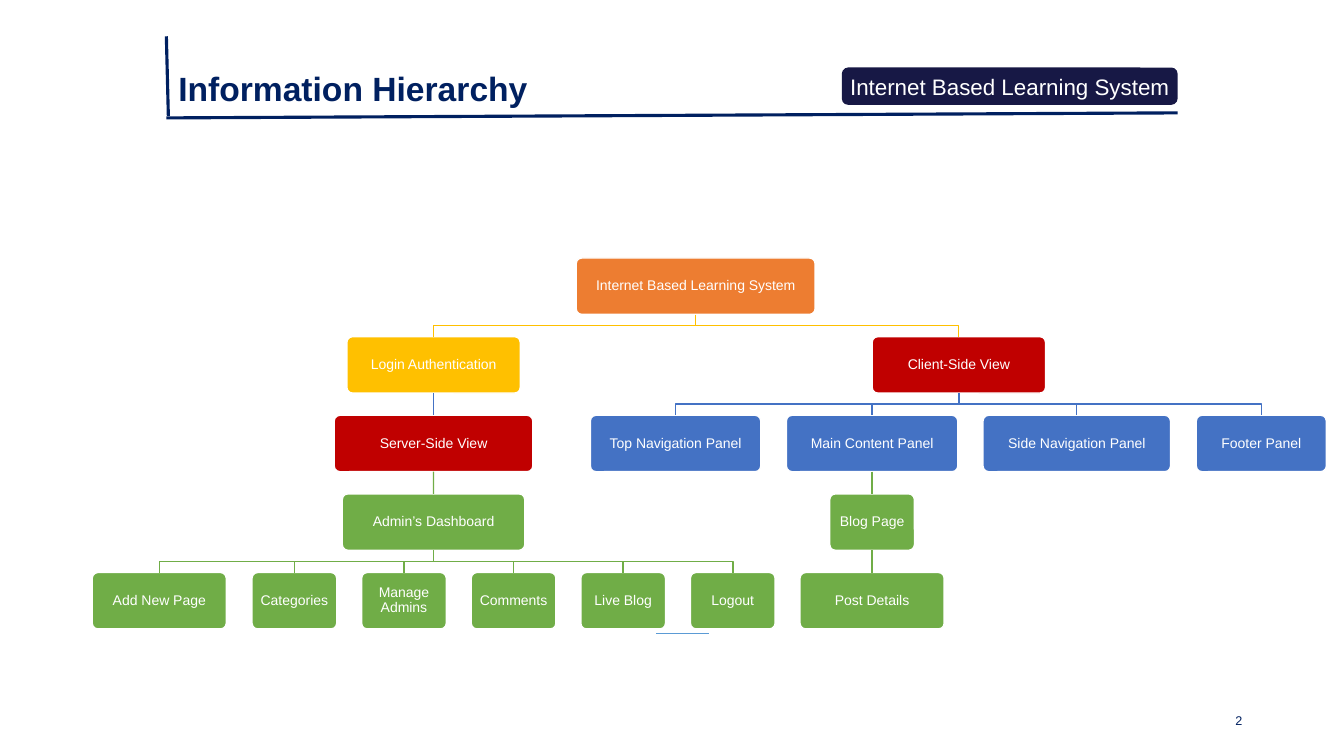
from lxml import etree
from pptx import Presentation
from pptx.dml.color import RGBColor
from pptx.enum.shapes import MSO_CONNECTOR as Conn, MSO_SHAPE as Shape
from pptx.enum.text import MSO_ANCHOR as Anchor, PP_ALIGN as Align
from pptx.oxml.ns import qn
from pptx.util import Inches, Pt

NAVY = RGBColor(0x00, 0x20, 0x60)
DARK = RGBColor(0x17, 0x18, 0x45)
WHITE = RGBColor(0xFF, 0xFF, 0xFF)
ORANGE = RGBColor(0xED, 0x7D, 0x31)
GOLD = RGBColor(0xFF, 0xC0, 0x00)
RED = RGBColor(0xC0, 0x00, 0x00)
BLUE = RGBColor(0x44, 0x72, 0xC4)
GREEN = RGBColor(0x70, 0xAD, 0x47)
SKY = RGBColor(0x5B, 0x9B, 0xD5)

deck = Presentation()
deck.slide_width, deck.slide_height = Inches(13.33), Inches(7.5)
slide = deck.slides.add_slide(deck.slide_layouts[6])
shapes = slide.shapes


def write(shape, text, font, para, frame):
    body = shape.text_frame
    body.text = text
    line = body.paragraphs[0]
    parts = [(body, {"word_wrap": True, **frame}), (line, para),
             (line.runs[0].font, {"name": "Arial", **font})]
    for part, values in parts:
        for key, value in values.items():
            setattr(part, key, value)
    line.runs[0].font.color.rgb = font_color[shape.shape_id]


def rule(x1, y1, x2, y2, color, weight):
    line = shapes.add_connector(Conn.STRAIGHT, Inches(x1), Inches(y1), Inches(x2), Inches(y2))
    line.line.color.rgb = color
    line.line.width = Pt(weight)
    etree.SubElement(line._element.spPr, qn("a:effectLst"))
    return line


font_color = {}

# Header lines and banner
rule(1.65, 0.36, 1.67, 1.15, NAVY, 2.25)
rule(1.65, 1.17, 11.68, 1.12, NAVY, 2.25)
banner = shapes.add_shape(Shape.ROUNDED_RECTANGLE, Inches(8.35), Inches(0.67),
                          Inches(3.33), Inches(0.37))
banner.shadow.inherit = False
banner.fill.solid()
banner.fill.fore_color.rgb = DARK
banner.line.fill.background()
font_color[banner.shape_id] = WHITE
write(banner, "Internet Based Learning System", {"size": Pt(16)},
      {"alignment": Align.CENTER},
      {"vertical_anchor": Anchor.MIDDLE, "margin_left": 0, "margin_right": 0})

# Page number and title
page = shapes.add_textbox(Inches(9.42), Inches(6.95), Inches(3), Inches(0.4))
title = shapes.add_textbox(Inches(1.67), Inches(0.67), Inches(6.72), Inches(0.5))
for box in (page, title):
    font_color[box.shape_id] = NAVY
write(page, "2", {"size": Pt(9)}, {"alignment": Align.RIGHT},
      {"vertical_anchor": Anchor.MIDDLE})
write(title, "Information Hierarchy", {"size": Pt(24), "bold": True},
      {"line_spacing": 0.9, "space_before": Pt(10)}, {"vertical_anchor": Anchor.TOP})

# Tree: name, parent, level, centre, width, fill, link colour
ROOT, LOGIN, CLIENT = "Internet Based Learning System", "Login Authentication", "Client-Side View"
SERVER, ADMIN = "Server-Side View", "Admin’s Dashboard"
MAIN, BLOG = "Main Content Panel", "Blog Page"
NODES = [
    (ROOT, None, 0, 6.9, 2.37, ORANGE, None),
    (LOGIN, ROOT, 1, 4.3, 1.72, GOLD, GOLD),
    (CLIENT, ROOT, 1, 9.51, 1.72, RED, GOLD),
    (SERVER, LOGIN, 2, 4.3, 1.97, RED, BLUE),
    ("Top Navigation Panel", CLIENT, 2, 6.7, 1.69, BLUE, BLUE),
    (MAIN, CLIENT, 2, 8.65, 1.7, BLUE, BLUE),
    ("Side Navigation Panel", CLIENT, 2, 10.68, 1.86, BLUE, BLUE),
    ("Footer Panel", CLIENT, 2, 12.51, 1.29, BLUE, BLUE),
    (ADMIN, SERVER, 3, 4.3, 1.81, GREEN, GREEN),
    (BLOG, MAIN, 3, 8.65, 0.84, GREEN, GREEN),
    ("Add New Page", ADMIN, 4, 1.58, 1.33, GREEN, GREEN),
    ("Post Details", BLOG, 4, 8.65, 1.43, GREEN, GREEN),
]
LEAVES = ["Categories", "Manage Admins", "Comments", "Live Blog", "Logout"]
for i, name in enumerate(LEAVES):
    NODES.append((name, ADMIN, 4, 2.92 + 1.087 * i, 0.84, GREEN, GREEN))

TOP, PITCH, HIGH = 2.56, 0.78, 0.56
INSETS = {f"margin_{side}": Inches(0.06) for side in ("left", "right", "top", "bottom")}
placed = {}
for name, parent, level, mid, wide, fill, color in NODES:
    top = TOP + PITCH * level
    box = shapes.add_shape(Shape.ROUNDED_RECTANGLE, Inches(mid - wide / 2), Inches(top),
                           Inches(wide), Inches(HIGH))
    box.adjustments[0] = 0.1
    box.shadow.inherit = False
    box.fill.solid()
    box.fill.fore_color.rgb = fill
    box.line.color.rgb = WHITE
    box.line.width = Pt(1)
    font_color[box.shape_id] = WHITE
    write(box, name, {"size": Pt(10)}, {"alignment": Align.CENTER, "line_spacing": 0.9},
          {"vertical_anchor": Anchor.MIDDLE, **INSETS})
    placed[name] = box, mid
    if parent is None:
        continue

    # Link from the parent: straight below it, otherwise stepped
    above, start = placed[parent]
    base = top - PITCH + HIGH
    if start == mid:
        link = rule(mid, base, mid, top, color, 1)
        link.begin_connect(above, 2)
        link.end_connect(box, 0)
    else:
        bend = (base + top) / 2
        path = shapes.build_freeform(Inches(start), Inches(base))
        path.add_line_segments([(Inches(x), Inches(y)) for x, y in
                                ((start, bend), (mid, bend), (mid, top))], close=False)
        link = path.convert_to_shape()
        link.shadow.inherit = False
        link.fill.background()
        link.line.color.rgb = color
        link.line.width = Pt(1)

# Short line under the tree
rule(6.51, 6.28, 7.03, 6.28, SKY, 0.5)

deck.save("out.pptx")
